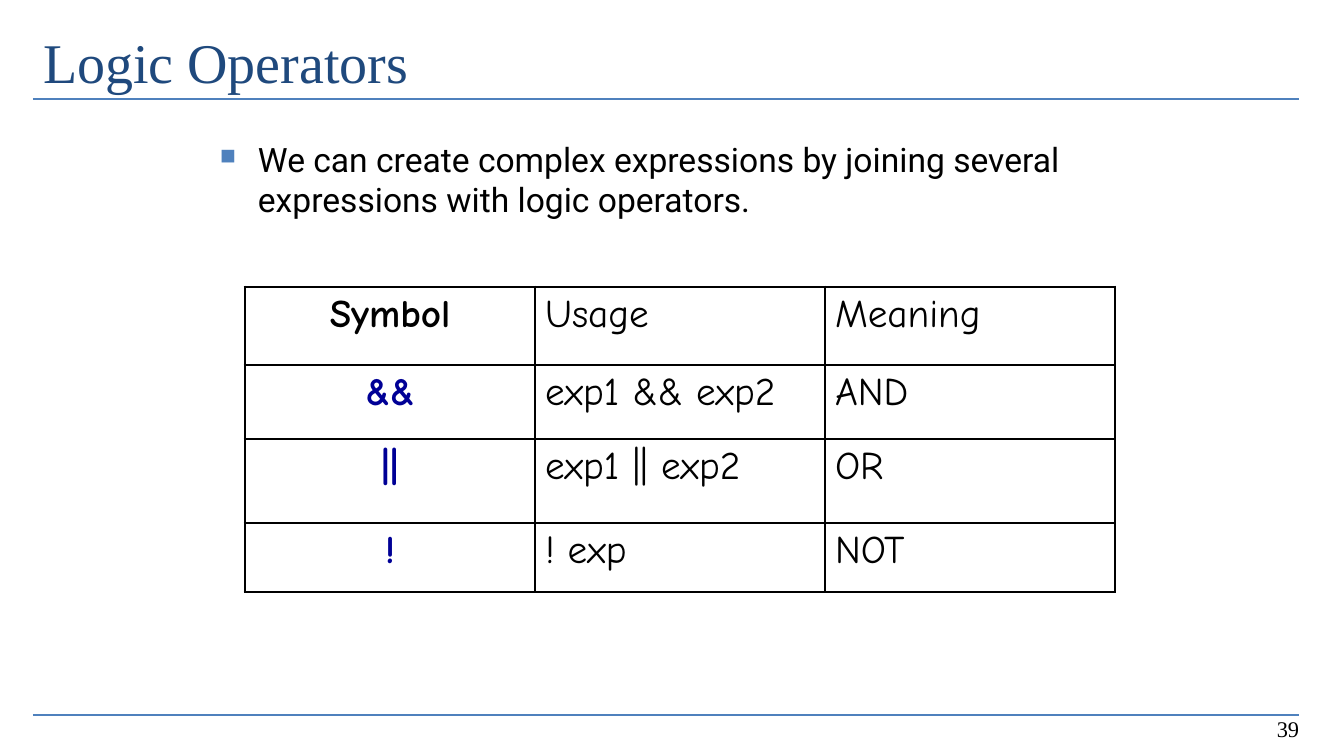
from lxml.etree import SubElement
from pptx import Presentation
from pptx.dml.color import RGBColor
from pptx.enum.shapes import MSO_CONNECTOR
from pptx.enum.text import MSO_ANCHOR, MSO_AUTO_SIZE, PP_ALIGN
from pptx.oxml.ns import qn
from pptx.util import Emu, Pt

# Content
TITLE = "Logic Operators"
STATEMENT = ("We can create complex expressions by joining several "
             "expressions with logic operators.")
OPERATORS = [
    ("Symbol", "Usage", "Meaning"),
    ("&&", "exp1 && exp2", "AND"),
    ("||", "exp1 || exp2", "OR"),
    ("!", "! exp", "NOT"),
]
PAGE_NUMBER = "39"

# Layout in px: left, top, width, height
SLIDE_SIZE = (1344, 756)
TITLE_BOX = (33, 17, 1266, 118)
STATEMENT_BOX = (210, 134, 940, 110)
NUMBER_BOX = (996, 697, 313, 50)
RULE_LEFT, RULE_RIGHT = 33, 1299
RULE_TOPS = (715, 99)
TABLE_LEFT, TABLE_TOP = 245, 287
COLUMN_WIDTH = 290
ROW_HEIGHTS = (78, 74, 84, 69)
BULLET_INDENT = 38
THICK, THIN = 2.25, 1

BLACK = RGBColor(0x00, 0x00, 0x00)
NAVY = RGBColor(0x1F, 0x49, 0x7D)
BLUE = RGBColor(0x4F, 0x81, 0xBD)
SYMBOL_BLUE = RGBColor(0x00, 0x00, 0x96)
SERIF, SANS, COMIC = "Times New Roman", "Roboto", "Comic Neue"


def px(length):
    return Emu(round(length * 914400 / 100.8))


def box_of(box):
    return [px(length) for length in box]


def add_color(parent, color):
    SubElement(SubElement(parent, qn("a:solidFill")), qn("a:srgbClr"), val=str(color))


def write(frame, text, font, size, color=BLACK, bold=False,
          align=PP_ALIGN.LEFT, bullet=None):
    paragraph = frame.paragraphs[0]
    paragraph.text = text
    paragraph.alignment = align
    if bullet:
        properties = paragraph._p.get_or_add_pPr()
        properties.set("marL", str(px(BULLET_INDENT)))
        properties.set("indent", str(-px(BULLET_INDENT)))
        bullet_color = SubElement(properties, qn("a:buClr"))
        SubElement(bullet_color, qn("a:srgbClr"), val=str(BLUE))
        SubElement(properties, qn("a:buSzPct"), val="65000")
        SubElement(properties, qn("a:buChar"), char=bullet)
    run_font = paragraph.runs[0].font
    run_font.name, run_font.size, run_font.bold = font, Pt(size), bold
    run_font.color.rgb = color


def add_borders(cell, widths):
    properties = cell._tc.get_or_add_tcPr()
    for side, width in widths.items():
        border = SubElement(properties, qn(f"a:ln{side}"), w=str(Pt(width)))
        add_color(border, BLACK)


presentation = Presentation()
presentation.slide_width, presentation.slide_height = box_of(SLIDE_SIZE)
slide = presentation.slides.add_slide(presentation.slide_layouts[5])
shapes = slide.shapes

# Rules
for top in RULE_TOPS:
    rule = shapes.add_connector(MSO_CONNECTOR.STRAIGHT,
                                *box_of((RULE_LEFT, top, RULE_RIGHT, top)))
    rule.line.color.rgb = BLUE
    rule.line.width = Pt(1.5)
    SubElement(rule._element.spPr, qn("a:effectLst"))

# Title
title = shapes.title
title.left, title.top, title.width, title.height = box_of(TITLE_BOX)
title.text_frame.vertical_anchor = MSO_ANCHOR.TOP
title.text_frame.auto_size = MSO_AUTO_SIZE.NONE
title.text_frame.margin_top = px(11)
write(title.text_frame, TITLE, SERIF, 40, color=NAVY)

# Statement
statement = shapes.add_textbox(*box_of(STATEMENT_BOX)).text_frame
statement.word_wrap = True
write(statement, STATEMENT, SANS, 24, bullet="■")

# Page number
number = shapes.add_textbox(*box_of(NUMBER_BOX)).text_frame
number.word_wrap = True
number.vertical_anchor = MSO_ANCHOR.BOTTOM
write(number, PAGE_NUMBER, SERIF, 16, align=PP_ALIGN.RIGHT)

# Operator table
row_count, column_count = len(OPERATORS), len(OPERATORS[0])
table = shapes.add_table(row_count, column_count, *box_of(
    (TABLE_LEFT, TABLE_TOP, COLUMN_WIDTH * column_count, sum(ROW_HEIGHTS)))).table
table.first_row = table.horz_banding = False
for column in table.columns:
    column.width = px(COLUMN_WIDTH)
for r, operator in enumerate(OPERATORS):
    table.rows[r].height = px(ROW_HEIGHTS[r])
    for c, text in enumerate(operator):
        cell = table.cell(r, c)
        is_symbol = c == 0
        write(cell.text_frame, text, COMIC, 28, bold=is_symbol,
              color=SYMBOL_BLUE if is_symbol and r > 0 else BLACK,
              align=PP_ALIGN.CENTER if is_symbol else PP_ALIGN.LEFT)
        add_borders(cell, {
            "L": THICK if c == 0 else THIN,
            "R": THICK if c == column_count - 1 else THIN,
            "T": THICK if r == 0 else THIN,
            "B": THICK if r == row_count - 1 else THIN,
        })
        cell.fill.background()

presentation.save("out.pptx")
